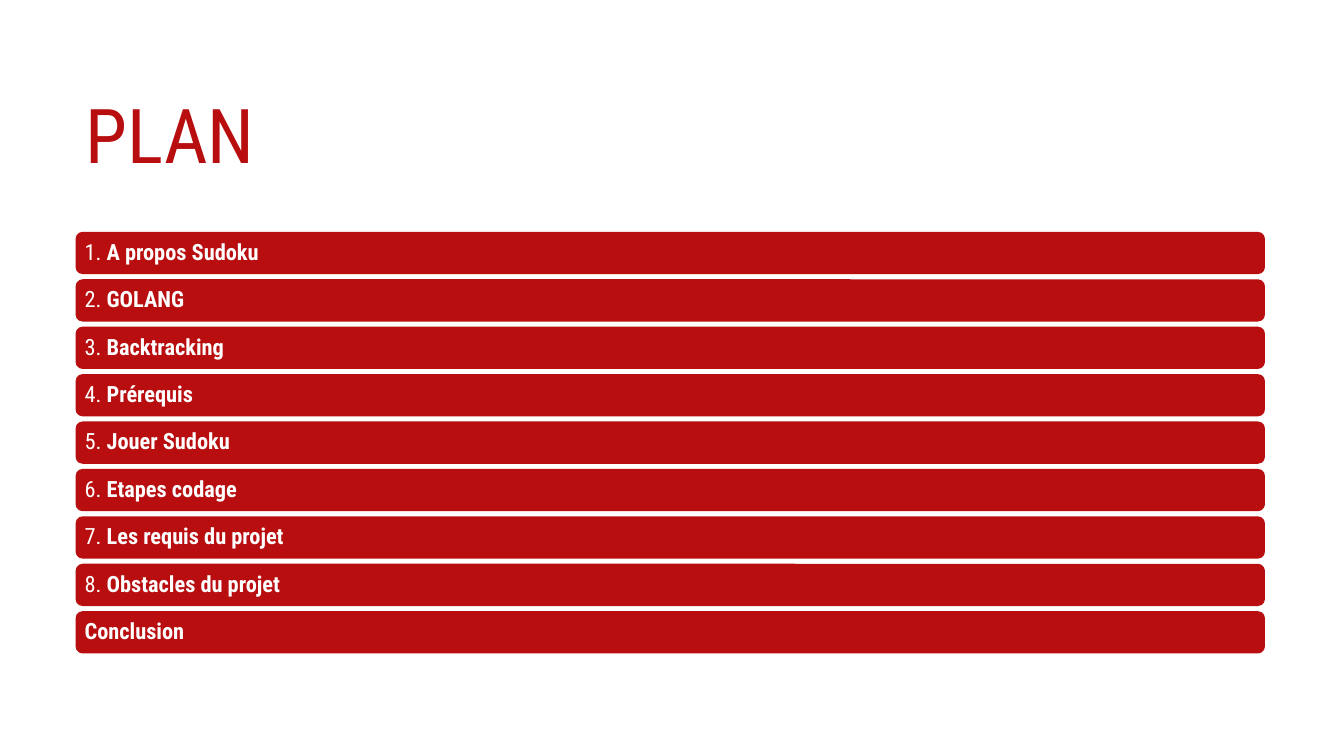
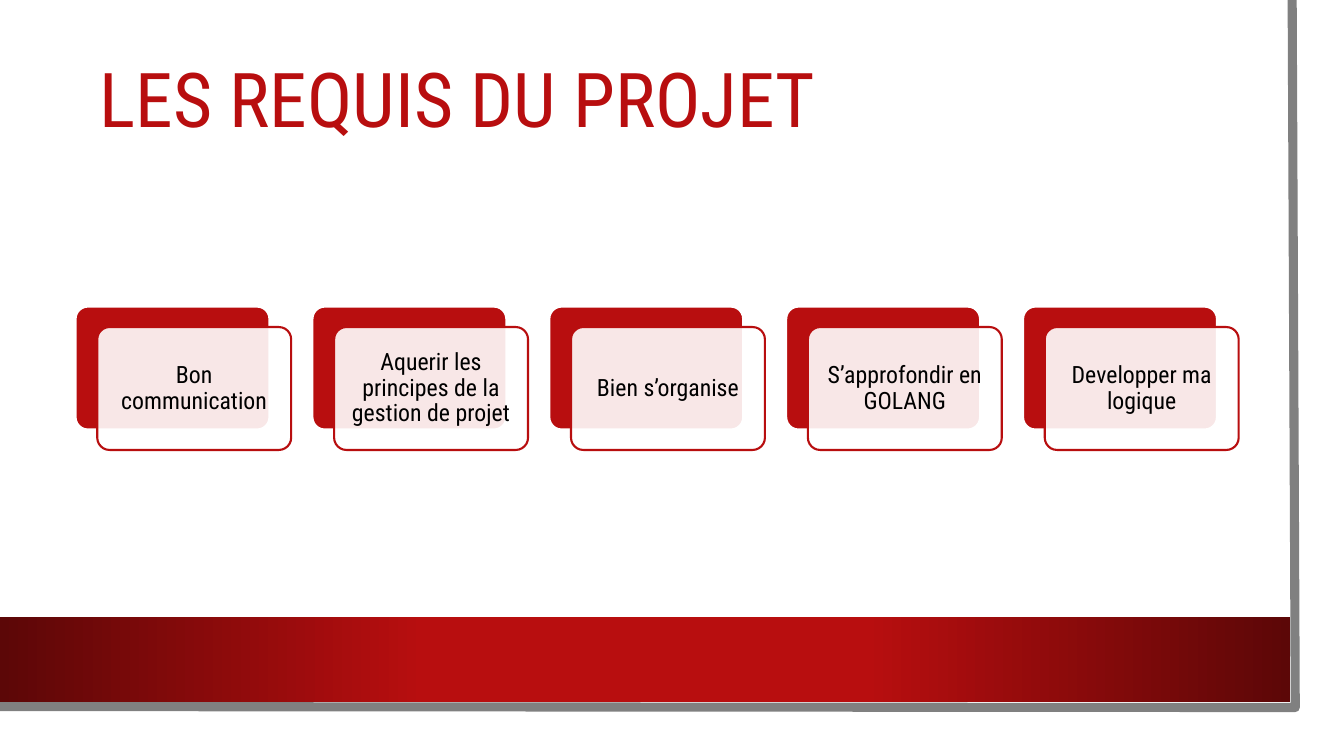
import pptx
import pptx.util
import pptx.dml.color
import pptx.enum.dml
import pptx.enum.shapes
import pptx.enum.text
import pptx.oxml.ns
from lxml import etree

Pt = pptx.util.Pt
RGBColor = pptx.dml.color.RGBColor
ALIGN = pptx.enum.text.PP_ALIGN
SHAPES = pptx.enum.shapes.MSO_SHAPE
qn = pptx.oxml.ns.qn

RED = RGBColor(0xB8, 0x0E, 0x0F)
DARK_RED = RGBColor(0x5C, 0x07, 0x07)
GREY = RGBColor(0x80, 0x80, 0x80)
WHITE = RGBColor(0xFF, 0xFF, 0xFF)
BLACK = RGBColor(0, 0, 0)
FONT = "Roboto Condensed"

PLAN_TITLE = "PLAN"
PLAN_TOPICS = [
    ("1. ", "A propos Sudoku"),
    ("2. ", "GOLANG"),
    ("3. ", "Backtracking"),
    ("4. ", "Prérequis"),
    ("5. ", "Jouer Sudoku"),
    ("6. ", "Etapes codage"),
    ("7. ", "Les requis du projet"),
    ("8. ", "Obstacles du projet"),
    ("", "Conclusion"),
]
REQUIREMENTS_TITLE = "LES REQUIS DU PROJET"
REQUIREMENTS = [
    "Bon communication",
    "Aquerir les principes de la gestion de projet",
    "Bien s’organise",
    "S’approfondir en GOLANG",
    "Developper ma logique",
]

BAR_LEFT, BAR_TOP, BAR_WIDTH, BAR_HEIGHT, BAR_PITCH = 54, 165.6, 849.6, 30.2, 33.87
CARD_LEFT, CARD_TOP, CARD_WIDTH, CARD_HEIGHT, CARD_PITCH = 54, 219, 138.5, 87.8, 169.2
CARD_SHIFT_X, CARD_SHIFT_Y = 15.5, 14.6
FRAME_CORNERS = [(923, 0), (925.2, 505.4), (-2.2, 504.7)]
BAND_STOPS = [(0, DARK_RED), (33, RED), (67, RED), (100, DARK_RED)]


def add_titled_slide(deck, title, left, top, width, height):
    slide = deck.slides.add_slide(deck.slide_layouts[5])
    heading = slide.shapes.title
    heading.left, heading.top = Pt(left), Pt(top)
    heading.width, heading.height = Pt(width), Pt(height)
    heading.text_frame.text = title
    heading.text_frame.auto_size = pptx.enum.text.MSO_AUTO_SIZE.NONE
    heading.text_frame.vertical_anchor = pptx.enum.text.MSO_ANCHOR.MIDDLE
    style_paragraph(heading.text_frame.paragraphs[0], 54, RED, ALIGN.LEFT)
    return slide


def style_paragraph(paragraph, size, color, alignment):
    paragraph.alignment = alignment
    paragraph.line_spacing = 0.9
    paragraph.font.name = FONT
    paragraph.font.size = Pt(size)
    paragraph.font.color.rgb = color


def add_block(slide, kind, left, top, width, height, fill, line=None):
    block = slide.shapes.add_shape(kind, Pt(left), Pt(top), Pt(width), Pt(height))
    block.shadow.inherit = False
    block.fill.solid()
    block.fill.fore_color.rgb = fill
    if line is None:
        block.line.fill.background()
    else:
        block.line.color.rgb = line
        block.line.width = Pt(1.5)
    return block


def prepare_text(block):
    frame = block.text_frame
    frame.word_wrap = True
    frame.vertical_anchor = pptx.enum.text.MSO_ANCHOR.MIDDLE
    frame.margin_left = frame.margin_right = Pt(5)
    frame.margin_top = frame.margin_bottom = Pt(0)
    return frame.paragraphs[0]


def add_frame(slide):
    start, *corners = [(Pt(x), Pt(y)) for x, y in FRAME_CORNERS]
    builder = slide.shapes.build_freeform(*start)
    builder.add_line_segments(corners, close=False)
    edge = builder.convert_to_shape()
    edge.shadow.inherit = False
    edge.fill.background()
    edge.line.color.rgb = GREY
    edge.line.width = Pt(6.5)

    band = add_block(slide, SHAPES.RECTANGLE, 0, 440.6, 921.6, 61.2, RED)
    band.fill.gradient()
    band.fill.gradient_angle = 0
    stops = next(band._element.spPr.iter(qn("a:gsLst")))
    for stop in list(stops):
        stops.remove(stop)
    for percent, color in BAND_STOPS:
        stop = etree.SubElement(stops, qn("a:gs"), pos=str(percent * 1000))
        etree.SubElement(stop, qn("a:srgbClr"), val=str(color))


def add_plan_slide(deck):
    slide = add_titled_slide(deck, PLAN_TITLE, 54, 54, 849.6, 90.7)
    for row, (number, topic) in enumerate(PLAN_TOPICS):
        bar = add_block(slide, SHAPES.ROUNDED_RECTANGLE, BAR_LEFT,
                        BAR_TOP + row * BAR_PITCH, BAR_WIDTH, BAR_HEIGHT, RED)
        paragraph = prepare_text(bar)
        style_paragraph(paragraph, 16, WHITE, ALIGN.LEFT)
        if number:
            paragraph.add_run().text = number
        label = paragraph.add_run()
        label.text = topic
        label.font.bold = True


def add_requirements_slide(deck):
    slide = add_titled_slide(deck, REQUIREMENTS_TITLE, 64, 35.3, 832.3, 76.3)
    add_frame(slide)
    for column, requirement in enumerate(REQUIREMENTS):
        left = CARD_LEFT + column * CARD_PITCH
        backing = add_block(slide, SHAPES.ROUNDED_RECTANGLE, left, CARD_TOP,
                            CARD_WIDTH, CARD_HEIGHT, RED, WHITE)
        card = add_block(slide, SHAPES.ROUNDED_RECTANGLE, left + CARD_SHIFT_X,
                         CARD_TOP + CARD_SHIFT_Y, CARD_WIDTH, CARD_HEIGHT, WHITE, RED)
        backing.adjustments[0] = card.adjustments[0] = 0.1
        card_color = card._element.spPr.find(qn("a:solidFill"))[0]
        etree.SubElement(card_color, qn("a:alpha"), val="90000")
        paragraph = prepare_text(card)
        paragraph.text = requirement
        style_paragraph(paragraph, 17, BLACK, ALIGN.CENTER)


def main():
    deck = pptx.Presentation()
    deck.slide_width, deck.slide_height = Pt(960), Pt(540)
    add_plan_slide(deck)
    add_requirements_slide(deck)
    deck.save("out.pptx")


if __name__ == "__main__":
    main()
